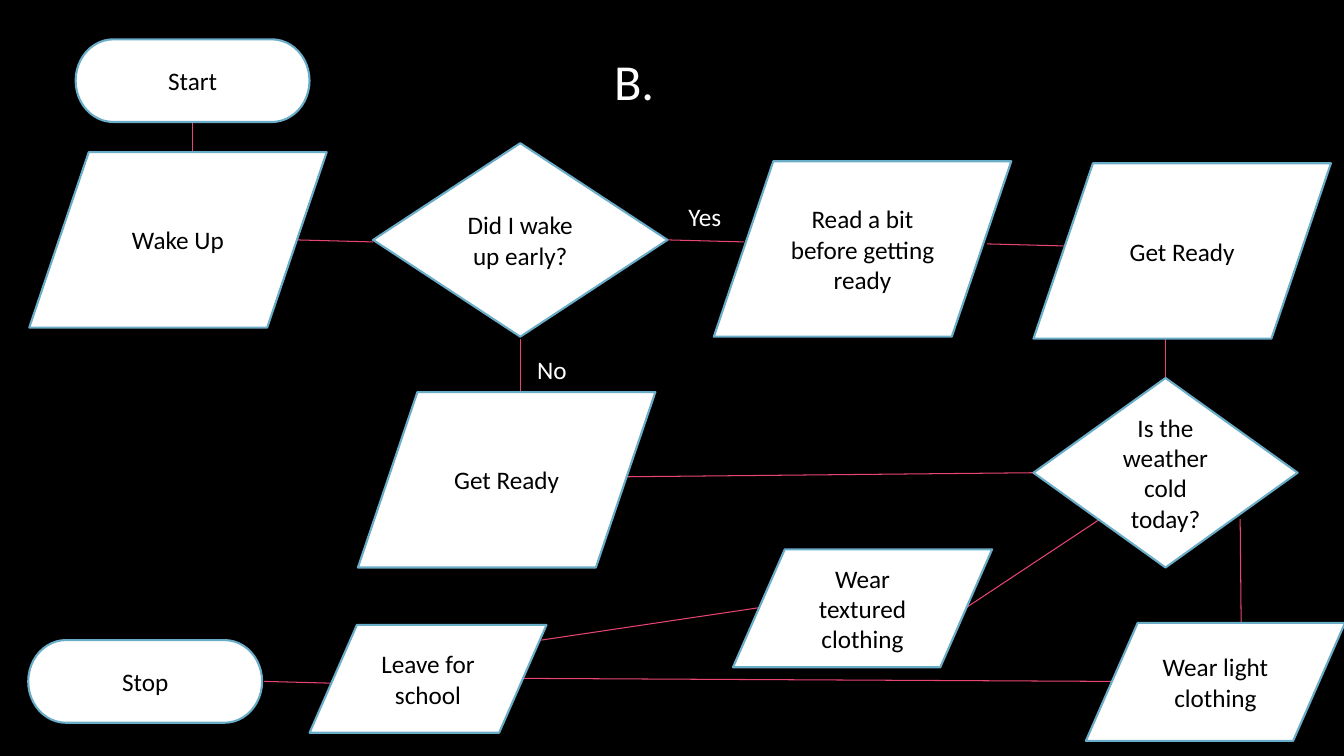
from pptx import Presentation
from pptx.dml.color import RGBColor
from pptx.enum.shapes import MSO_CONNECTOR, MSO_SHAPE
from pptx.enum.text import MSO_ANCHOR, MSO_AUTO_SIZE, PP_ALIGN
from pptx.oxml import parse_xml
from pptx.oxml.ns import nsdecls
from pptx.util import Pt

LINE = MSO_CONNECTOR.STRAIGHT
CAP = MSO_SHAPE.FLOWCHART_TERMINATOR
STEP = MSO_SHAPE.FLOWCHART_DATA
TEST = MSO_SHAPE.FLOWCHART_DECISION
MIDDLE = MSO_ANCHOR.MIDDLE
CENTER = PP_ALIGN.CENTER
LEFT = PP_ALIGN.LEFT
GROW = MSO_AUTO_SIZE.SHAPE_TO_FIT_TEXT
FIXED = MSO_AUTO_SIZE.NONE

THEME = {
    "font": "Calibri",
    "title": Pt(36),
    "text": Pt(18),
    "edge": Pt(1.5),
    "link": Pt(0.75),
    "gap": Pt(10),
    "black": RGBColor.from_string("000000"),
    "white": RGBColor.from_string("FFFFFF"),
    "blue": RGBColor.from_string("6AADC8"),
    "pink": RGBColor.from_string("E84574"),
}
PX = 9144


def px(*vals):
    return [val * PX for val in vals]


def write(frame, text, size, color, align):
    frame.text = text
    para = frame.paragraphs[0]
    para.alignment = align
    font = para.runs[0].font
    font.name = THEME["font"]
    font.size = THEME[size]
    font.color.rgb = THEME[color]
    return para


prs = Presentation()
prs.slide_width, prs.slide_height = px(1333, 750)
slide = prs.slides.add_slide(prs.slide_layouts[5])
back = slide.background.fill
back.solid()
back.fore_color.rgb = THEME["black"]

title = slide.shapes.title
title.left, title.top, title.width, title.height = px(75, 0, 1108, 159)
title.text_frame.vertical_anchor = MIDDLE
title.text_frame.auto_size = FIXED
write(title.text_frame, "B.", "title", "white", CENTER)

links = [
    (191, 121, 191, 159),
    (294, 238, 370, 240),
    (662, 238, 738, 240),
    (516, 336, 516, 389),
    (979, 242, 1055, 244),
    (621, 473, 1025, 469),
    (1156, 327, 1156, 380),
    (1091, 515, 958, 603),
    (1230, 515, 1231, 618),
    (752, 603, 537, 635),
    (1102, 676, 519, 673),
    (262, 676, 338, 678),
]
for ends in links:
    link = slide.shapes.add_connector(LINE, *px(*ends))
    link.line.color.rgb = THEME["pink"]
    link.line.width = THEME["link"]
    link._element.spPr.append(parse_xml(f"<a:effectLst {nsdecls('a')}/>"))

nodes = [
    (CAP, "Start", 75, 39, 232, 82),
    (STEP, "Wake Up", 29, 151, 295, 174),
    (TEST, "Did I wake up early?", 370, 142, 292, 192),
    (STEP, "Read a bit before getting ready", 708, 160, 295, 174),
    (STEP, "Get Ready", 1025, 162, 295, 174),
    (STEP, "Get Ready", 355, 389, 295, 174),
    (TEST, "Is the weather cold today?", 1025, 375, 262, 188),
    (STEP, "Wear textured clothing", 727, 545, 257, 117),
    (STEP, "Wear light clothing", 1077, 618, 257, 117),
    (STEP, "Leave for school", 307, 620, 235, 107),
    (CAP, "Stop", 28, 635, 232, 82),
]
for kind, text, *box in nodes:
    node = slide.shapes.add_shape(kind, *px(*box))
    node.shadow.inherit = False
    node.fill.solid()
    node.fill.fore_color.rgb = THEME["white"]
    node.line.color.rgb = THEME["blue"]
    node.line.width = THEME["edge"]
    node.text_frame.vertical_anchor = MIDDLE
    para = write(node.text_frame, text, "text", "black", CENTER)
    if kind == CAP:
        para.space_after = THEME["gap"]

for text, *box in [("Yes", 673, 195, 53, 40), ("No", 523, 347, 50, 40)]:
    label = slide.shapes.add_textbox(*px(*box))
    label.text_frame.word_wrap = False
    label.text_frame.auto_size = GROW
    write(label.text_frame, text, "text", "white", LEFT)

prs.save("out.pptx")
